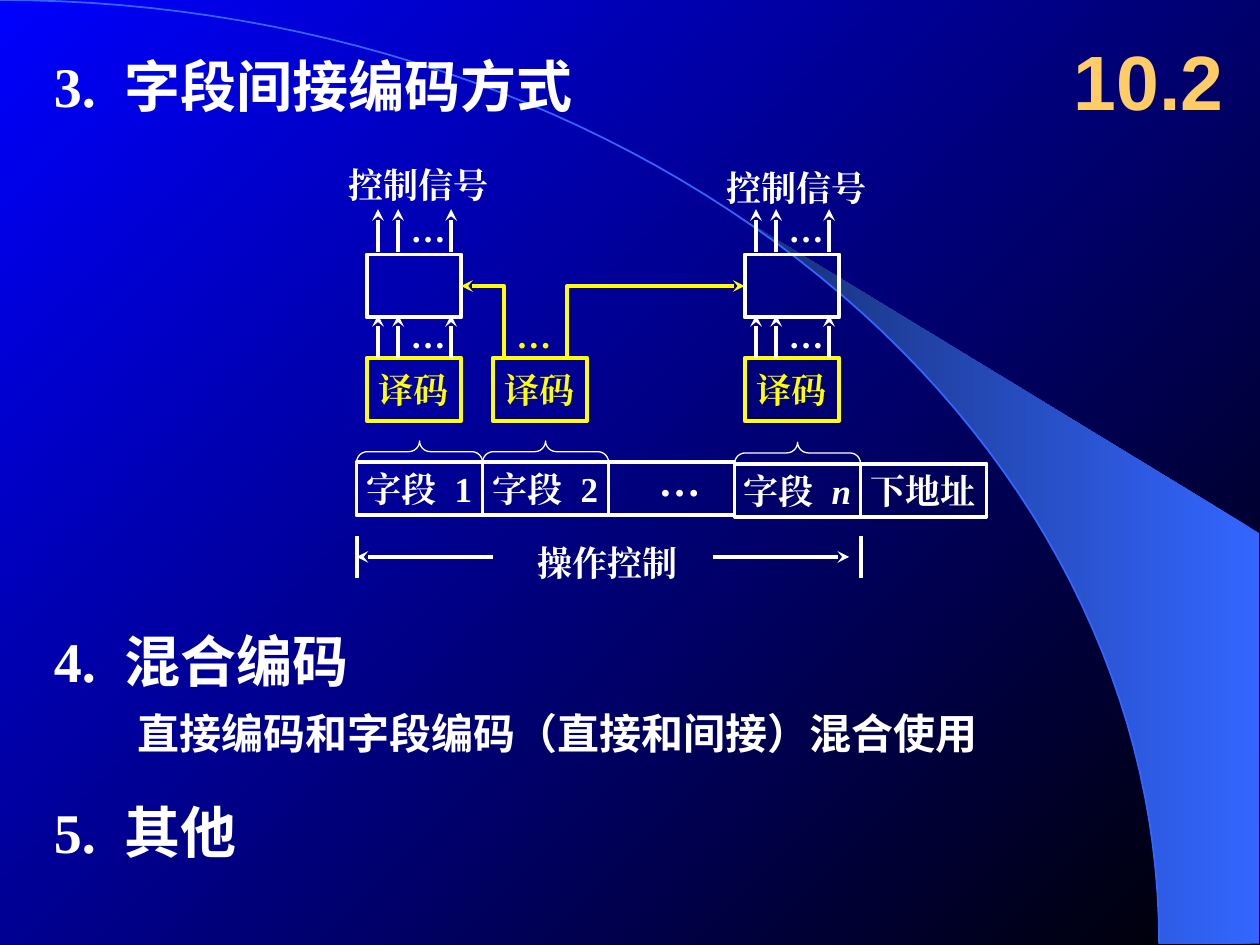
import math

import pptx
import pptx.dml.color
import pptx.enum.shapes
import pptx.enum.text
import pptx.oxml.ns
import pptx.util
from lxml import etree

WHITE, YELLOW, GOLD, BLUE = "FFFFFF", "FFFF00", "FFCC66", "3366FF"
SERIF, SANS, TITLE_FONT = "Times New Roman", "DejaVu Sans", "Arial"
WIDTH, HEIGHT = 10, 7.5
GRID_LEFT, COLUMN = 2.83, 1
BOX_INSET, BOX_WIDTH, BOX_HEIGHT = 0.08, 0.75, 0.5
FIELD_HEIGHT, BRACE_HEIGHT = 0.42, 0.17
GATE_TOP, DECODER_TOP, FIELD_TOP, SPAN_TOP = 2.02, 2.84, 3.67, 4.25
SIGNAL_OFFSETS = (0.17, 0.33, 0.75)
ARC_X, ARC_Y = 9.2, 7.49
SHAPE = pptx.enum.shapes.MSO_SHAPE


def inches(*lengths):
    return [pptx.util.Inches(length) for length in lengths]


def column(index, offset=0.0):
    return GRID_LEFT + index * COLUMN + offset


def rgb(color):
    return pptx.dml.color.RGBColor.from_string(color)


def paint_gradient(fill, start, end, angle):
    fill.gradient()
    fill.gradient_angle = angle
    for stop, color in zip(fill.gradient_stops, (start, end)):
        stop.color.rgb = rgb(color)


def write(frame, runs, size=20, font=SERIF, color=WHITE, align="LEFT", anchor="TOP", wrap=False):
    frame.word_wrap = wrap
    frame.vertical_anchor = getattr(pptx.enum.text.MSO_ANCHOR, anchor)
    paragraph = frame.paragraphs[0]
    paragraph.alignment = getattr(pptx.enum.text.PP_ALIGN, align)
    for text, changes in [(runs, {})] if isinstance(runs, str) else runs:
        run = paragraph.add_run()
        run.text = text
        run.font.size = pptx.util.Pt(size)
        run.font.bold = True
        run.font.italic = changes.get("italic")
        run.font.color.rgb = rgb(color)
        run.font.name = changes.get("font", font)
        properties = run.font._element
        east_asian = etree.SubElement(properties, pptx.oxml.ns.qn("a:ea"))
        east_asian.set("typeface", run.font.name)
        if "spacing" in changes:
            properties.set("spc", str(changes["spacing"] * 100))


def add_label(slide, runs, left, top, width, height, **style):
    label = slide.shapes.add_textbox(*inches(left, top, width, height))
    label.text_frame.auto_size = pptx.enum.text.MSO_AUTO_SIZE.SHAPE_TO_FIT_TEXT
    write(label.text_frame, runs, **style)


def add_heading(slide, number, text, row):
    runs = [(number, {}), (" ", {"spacing": 8}), (text, {"font": SANS})]
    add_label(slide, runs, 0.33, row, 8.58, 0.64, size=32, wrap=True)


def outline(shape, color, weight):
    shape.shadow.inherit = False
    shape.fill.background()
    shape.line.color.rgb = rgb(color)
    shape.line.width = pptx.util.Pt(weight)


def add_arrowhead(line):
    tail = etree.SubElement(line._get_or_add_ln(), pptx.oxml.ns.qn("a:tailEnd"))
    tail.set("type", "stealth")


def add_box(slide, runs, left, top, width, height, color=WHITE):
    box = slide.shapes.add_shape(SHAPE.RECTANGLE, *inches(left, top, width, height))
    outline(box, color, 2.25)
    if runs:
        write(box.text_frame, runs, color=color, align="CENTER", anchor="MIDDLE")


def add_line(slide, x1, y1, x2, y2, arrow=False):
    line = slide.shapes.add_connector(
        pptx.enum.shapes.MSO_CONNECTOR.STRAIGHT, *inches(x1, y1, x2, y2))
    line.line.color.rgb = rgb(WHITE)
    line.line.width = pptx.util.Pt(2.25)
    etree.SubElement(line._element.spPr, pptx.oxml.ns.qn("a:effectLst"))
    if arrow:
        add_arrowhead(line.line)


def add_path(slide, points, close=False):
    start, *rest = [tuple(inches(*point)) for point in points]
    builder = slide.shapes.build_freeform(*start, scale=1.0)
    builder.add_line_segments(rest, close=close)
    path = builder.convert_to_shape()
    path.shadow.inherit = False
    return path


def add_brace(slide, left, base):
    brace = slide.shapes.add_shape(SHAPE.LEFT_BRACE, *inches(
        left + (COLUMN - BRACE_HEIGHT) / 2, base - (COLUMN + BRACE_HEIGHT) / 2,
        BRACE_HEIGHT, COLUMN))
    brace.rotation = 90
    brace.adjustments[0] = 0.5
    outline(brace, WHITE, 0.75)


def add_signals(slide, index, base):
    for offset in SIGNAL_OFFSETS:
        add_line(slide, column(index, offset), base, column(index, offset), base - 0.34, arrow=True)
    add_label(slide, "…", column(index, 0.33), base - 0.4, 0.48, 0.44)


def arc_points(first, last, steps=60):
    angles = [math.radians(first + (last - first) * step / steps) for step in range(steps + 1)]
    return [(ARC_X * math.sin(angle), ARC_Y * (1 - math.cos(angle))) for angle in angles]


def add_backdrop(slide):
    paint_gradient(slide.background.fill, "000000", "0000FF", 135)
    beam = add_path(slide, arc_points(39.8, 90) + [(9.99, 7.49), (9.99, 4.23)], close=True)
    paint_gradient(beam.fill, BLUE, "172F75", 180)
    beam.line.fill.background()
    outline(add_path(slide, arc_points(0, 90)), BLUE, 1)


def add_decoders(slide):
    for index in (0, 1, 3):
        add_box(slide, "译码", column(index, BOX_INSET), DECODER_TOP, BOX_WIDTH, BOX_HEIGHT, YELLOW)
    for index, caption_top in ((0, 1.25), (3, 1.27)):
        add_box(slide, None, column(index, BOX_INSET), GATE_TOP, BOX_WIDTH, BOX_HEIGHT)
        add_signals(slide, index, DECODER_TOP)
        add_signals(slide, index, GATE_TOP - 0.02)
        add_label(slide, "控制信号", column(index, -0.16), caption_top, 1.31, 0.44)
    add_label(slide, "…", column(1, 0.17), DECODER_TOP - 0.4, 0.48, 0.44, color=YELLOW)
    gate_middle = GATE_TOP + BOX_HEIGHT / 2
    left_gate_edge = column(0, BOX_INSET + BOX_WIDTH)
    for start, end in ((column(1, 0.17), left_gate_edge), (column(1, 0.67), column(3, BOX_INSET))):
        feed = add_path(slide, [(start, DECODER_TOP), (start, gate_middle), (end, gate_middle)])
        outline(feed, YELLOW, 2.25)
        add_arrowhead(feed.line)


def add_instruction(slide):
    gap = (" ", {"spacing": 5})
    fields = [
        [("字段", {}), gap, ("1", {})],
        [("字段", {}), gap, ("2", {})],
        None,
        [("字段", {}), gap, ("n", {"italic": True})],
        "下地址",
    ]
    for index, field in enumerate(fields):
        top = FIELD_TOP + (0.01 if index > 2 else 0)
        add_box(slide, field, column(index), top, COLUMN, FIELD_HEIGHT)
        if index in (0, 1, 3):
            add_brace(slide, column(index), top)
    add_label(slide, "…", column(2, 0.3), 3.56, 0.53, 0.5, size=24)


def add_control_span(slide):
    for index in (0, 4):
        add_line(slide, column(index), SPAN_TOP, column(index), SPAN_TOP + 0.34)
    middle = SPAN_TOP + 0.17
    add_line(slide, column(1, 0.08), middle, column(0), middle, arrow=True)
    add_line(slide, column(3, -0.17), middle, column(4, -0.09), middle, arrow=True)
    add_label(slide, "操作控制", column(1, 0.34), SPAN_TOP, 1.31, 0.44)


def add_title(slide):
    title = slide.shapes.title
    title.left, title.top, title.width, title.height = inches(8.42, 0.17, 1.58, 0.92)
    write(title.text_frame, "10.2", size=44, font=TITLE_FONT, color=GOLD, anchor="MIDDLE", wrap=True)


def main():
    presentation = pptx.Presentation()
    presentation.slide_width, presentation.slide_height = inches(WIDTH, HEIGHT)
    slide = presentation.slides.add_slide(presentation.slide_layouts[5])
    add_backdrop(slide)
    add_title(slide)
    add_heading(slide, "3.", "字段间接编码方式", 0.36)
    add_decoders(slide)
    add_instruction(slide)
    add_control_span(slide)
    add_heading(slide, "4.", "混合编码", 4.92)
    add_label(slide, "直接编码和字段编码（直接和间接）混合使用", 0.99, 5.57, 8.35, 0.5,
              size=24, font=SANS, wrap=True)
    add_heading(slide, "5.", "其他", 6.28)
    presentation.save("out.pptx")


if __name__ == "__main__":
    main()
